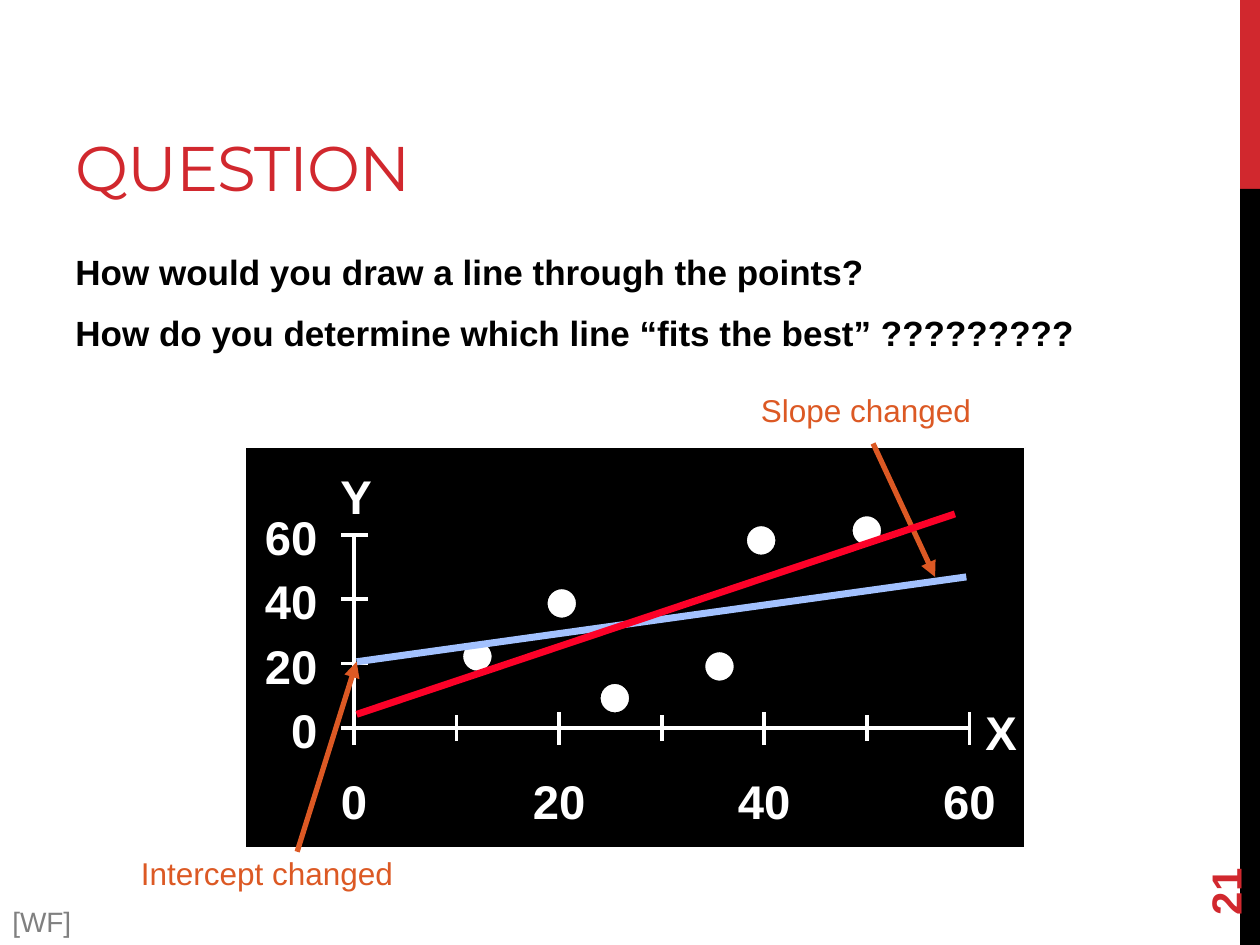
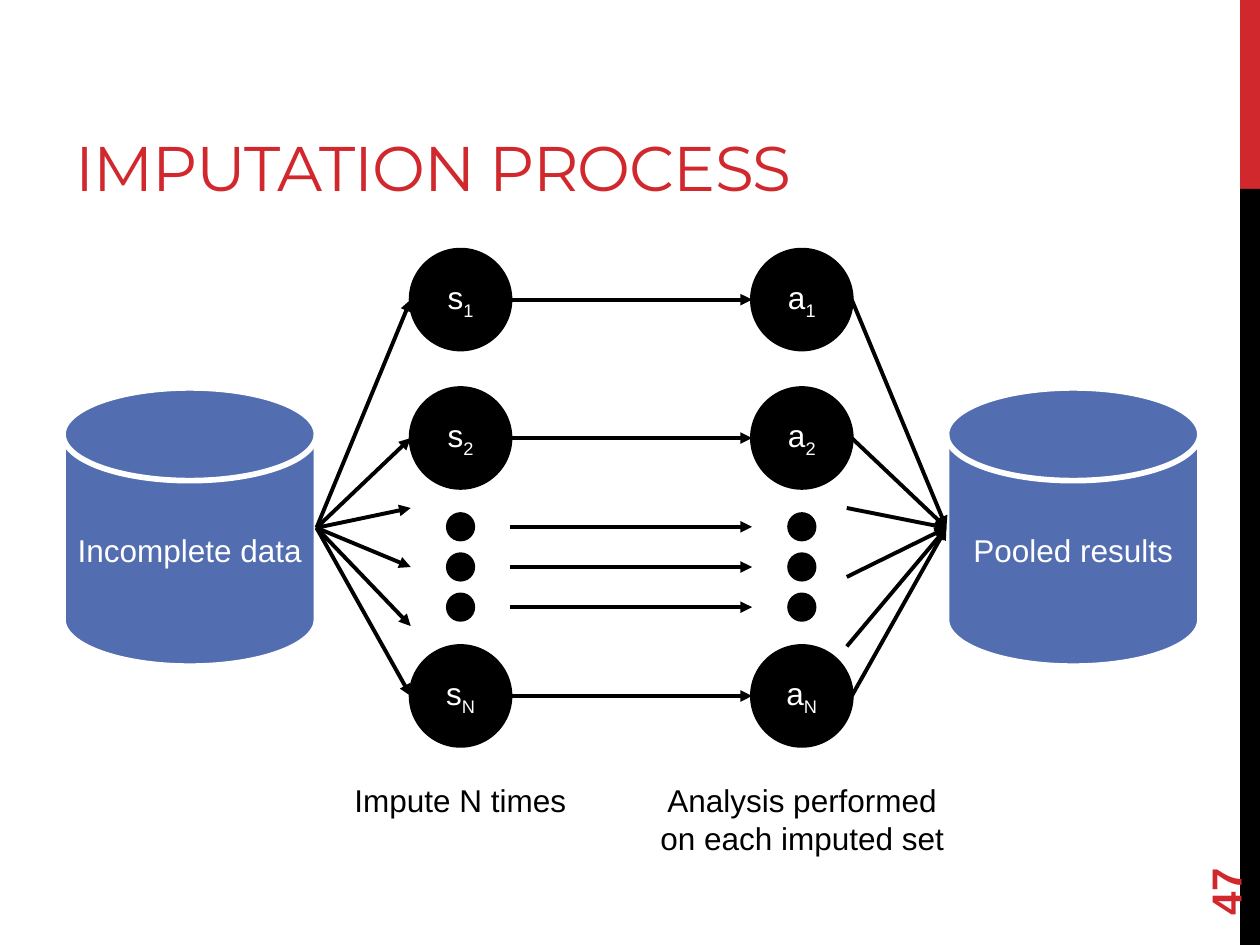
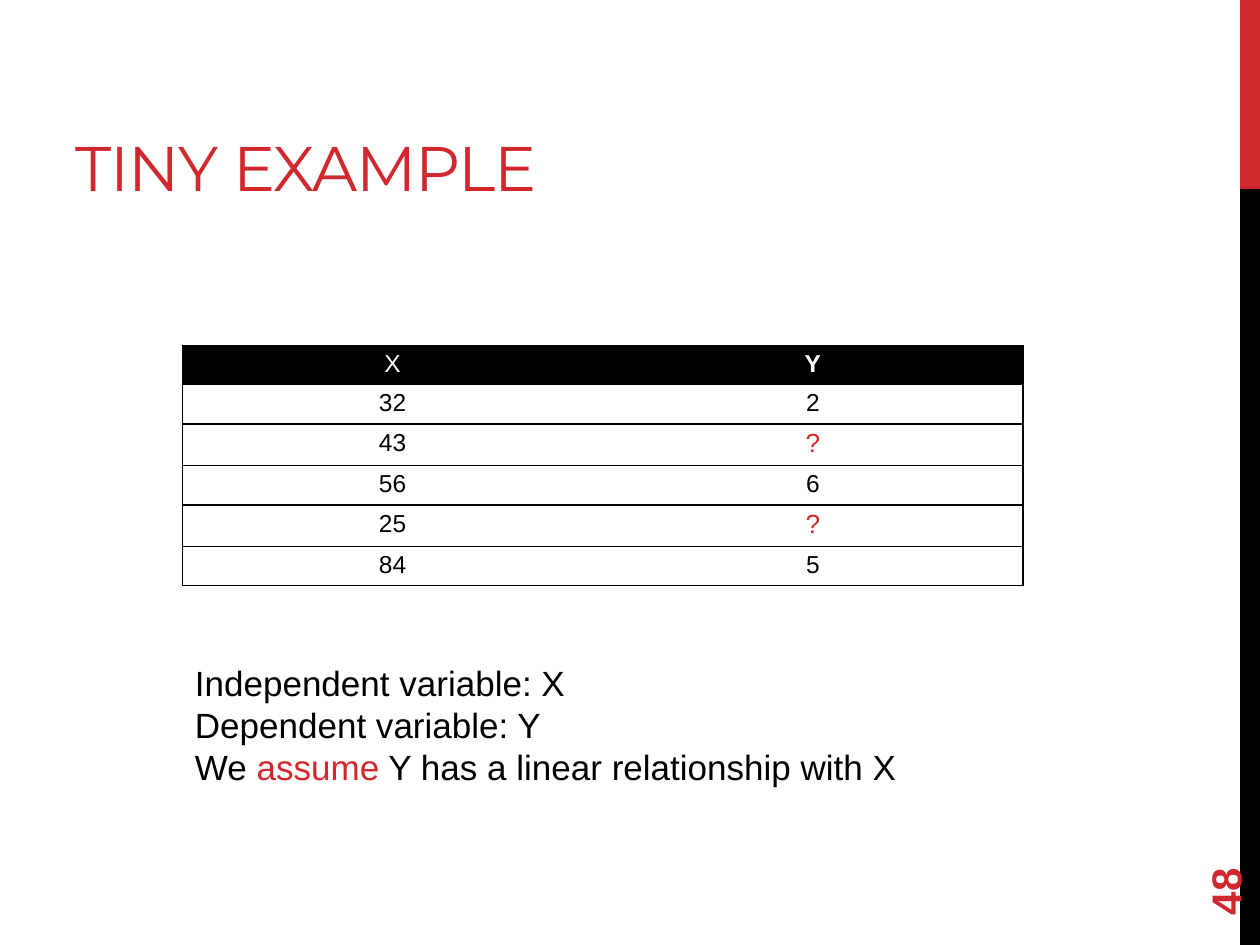
"""Build three lecture slides on line fitting and data imputation."""
from lxml import etree
from pptx import Presentation
from pptx.dml.color import RGBColor
from pptx.enum.shapes import MSO_CONNECTOR, MSO_SHAPE
from pptx.enum.text import MSO_ANCHOR, MSO_AUTO_SIZE, PP_ALIGN
from pptx.oxml.ns import qn
from pptx.util import Cm, Pt

STRAIGHT = MSO_CONNECTOR.STRAIGHT
RECTANGLE, OVAL = MSO_SHAPE.RECTANGLE, MSO_SHAPE.OVAL
DISK = MSO_SHAPE.FLOWCHART_MAGNETIC_DISK
LEFT, CENTER, RIGHT = PP_ALIGN.LEFT, PP_ALIGN.CENTER, PP_ALIGN.RIGHT
MIDDLE, BOTTOM = MSO_ANCHOR.MIDDLE, MSO_ANCHOR.BOTTOM
RED, BLACK, WHITE = "D1282E", "000000", "FFFFFF"
ORANGE, PALE_BLUE, BRIGHT_RED = "DC5924", "A2C1FE", "FC0128"
GREY, DISK_BLUE = "808080", "526DB0"


def write(para, text, size=18, colour=BLACK, bold=False, font="Arial", align=LEFT, **marks):
    """Add a formatted run; marks are extra run attributes such as baseline."""
    para.alignment = align
    span = para.add_run()
    span.text = text
    span.font.size = Pt(size)
    span.font.bold = bold
    span.font.name = font
    span.font.color.rgb = RGBColor.from_string(colour)
    for name, value in marks.items():
        span._r.get_or_add_rPr().set(name, value)


def paint(item, fill=None, line=None, width=1, arrow=False):
    """Set fill, line, arrowhead and no shadow on a shape or connector."""
    if fill:
        item.fill.solid()
        item.fill.fore_color.rgb = RGBColor.from_string(fill)
    if line:
        item.line.color.rgb = RGBColor.from_string(line)
        item.line.width = Pt(width)
    else:
        item.line.fill.background()
    if arrow:
        etree.SubElement(item.line._get_or_add_ln(), qn("a:tailEnd"), type="triangle")
    etree.SubElement(item.element.spPr, qn("a:effectLst"))


deck = Presentation()
deck.slide_width, deck.slide_height = Cm(25.4), Cm(19.05)

pages = []
for heading, number, title_width in [
    ("QUESTION", "21", 16.08),
    ("IMPUTATION PROCESS", "47", 20.75),
    ("TINY EXAMPLE", "48", 16.08),
]:
    page = deck.slides.add_slide(deck.slide_layouts[5])
    pages.append(page)
    for colour, top, height in [(RED, 0, 3.81), (BLACK, 3.81, 15.24)]:
        band = page.shapes.add_shape(RECTANGLE, Cm(25), Cm(top), Cm(0.4), Cm(height))
        paint(band, fill=colour)
    title = page.shapes.title
    title.left, title.top = Cm(1.27), Cm(0.43)
    title.width, title.height = Cm(title_width), Cm(3.81)
    title.text_frame.auto_size = MSO_AUTO_SIZE.NONE
    title.text_frame.vertical_anchor = BOTTOM
    write(title.text_frame.paragraphs[0], heading, size=36, colour=RED, font="Montserrat", spc="-60")
    box = page.shapes.add_textbox(Cm(22.86), Cm(16.36), Cm(3.66), Cm(1.02))
    box.rotation = 270
    box.text_frame.word_wrap = True
    box.text_frame.vertical_anchor = MIDDLE
    write(box.text_frame.paragraphs[0], number, size=24, colour=RED, bold=True)

question, process, example = pages

box = question.shapes.add_textbox(Cm(1.27), Cm(4.93), Cm(21.16), Cm(3))
frame = box.text_frame
frame.word_wrap = True
write(frame.paragraphs[0], "How would you draw a line through the points?", size=20, bold=True)
frame.paragraphs[0].space_after = Pt(6)
para = frame.add_paragraph()
para.space_before, para.space_after = Pt(5), Pt(6)
write(para, "How do you determine which line “fits the best” ?????????", size=20, bold=True)

plate = question.shapes.add_shape(RECTANGLE, Cm(4.95), Cm(9.02), Cm(15.72), Cm(8.08))
paint(plate, fill=BLACK, line=WHITE)

origin_x, origin_y, axis_width, axis_height = 7.14, 14.68, 12.4, 3.9
axis_lines = [
    (origin_x, origin_y - axis_height, origin_x, origin_y),
    (origin_x, origin_y, origin_x + axis_width, origin_y),
]
labels = [
    ("X", 19.33, 14.05, 1.7, CENTER, 27, WHITE, True),
    ("Y", 6.33, 9.3, 1.7, CENTER, 27, WHITE, True),
    ("Slope changed", 15.09, 7.75, 5, LEFT, 18, ORANGE, False),
    ("Intercept changed", 2.59, 17.09, 6, LEFT, 18, ORANGE, False),
    ("[WF]", 0, 18.11, 1.9, LEFT, 16, GREY, False),
]
for step in range(4):
    value = str(20 * step)
    tick_x = origin_x + axis_width * step / 3
    tick_y = origin_y - axis_height * step / 3
    axis_lines.append((6.88, tick_y, 7.42, tick_y))
    labels.append((value, 4.95, tick_y - 0.66, 1.7, RIGHT, 27, WHITE, True))
    labels.append((value, tick_x - 0.85, 15.44, 1.7, CENTER, 27, WHITE, True))
for step in range(7):
    tick_x = origin_x + axis_width * step / 6
    half = 0.26 if step % 2 else 0.33
    axis_lines.append((tick_x, origin_y + half, tick_x, origin_y - half))
for ends in axis_lines:
    axis = question.shapes.add_connector(STRAIGHT, *map(Cm, ends))
    paint(axis, line=WHITE, width=2)

for left, top in [(12.09, 13.77), (17.17, 10.39), (11.02, 11.86),
                  (15.04, 10.59), (14.2, 13.13), (9.32, 12.93)]:
    point = question.shapes.add_shape(OVAL, Cm(left), Cm(top), Cm(0.61), Cm(0.61))
    paint(point, fill=WHITE, line=BLACK)

for ends, colour, width, arrow in [
    ((7.19, 13.34, 19.48, 11.63), PALE_BLUE, 4, False),
    ((17.6, 8.94, 18.85, 11.63), ORANGE, 3, True),
    ((5.99, 17.17, 7.19, 13.34), ORANGE, 3, True),
    ((7.19, 14.4, 19.25, 10.36), BRIGHT_RED, 4, False),
]:
    trend = question.shapes.add_connector(STRAIGHT, *map(Cm, ends))
    paint(trend, line=colour, width=width, arrow=arrow)

for text, left, top, width, align, size, colour, bold in labels:
    box = question.shapes.add_textbox(Cm(left), Cm(top), Cm(width), Cm(size * 0.05))
    box.text_frame.word_wrap = True
    write(box.text_frame.paragraphs[0], text, size=size, colour=colour, bold=bold, align=align)

for text, left in [("Incomplete data", 1.27), ("Pooled results", 19.08)]:
    disk = process.shapes.add_shape(DISK, Cm(left), Cm(7.82), Cm(5.11), Cm(5.61))
    paint(disk, fill=DISK_BLUE, line=WHITE, width=3.25)
    disk.text_frame.word_wrap = False
    disk.text_frame.vertical_anchor = MIDDLE
    write(disk.text_frame.paragraphs[0], text, colour=WHITE, align=CENTER)

source_x, target_x, hub_y = 6.38, 19.08, 10.64
set_x, analysis_x, diameter, dot_size = 8.28, 15.16, 2.01, 0.51
circle_rows = {"1": 6.04, "2": 8.83, "N": 14.03}
dot_rows = [10.62 + 0.81 * step for step in range(3)]
for letter, left in [("s", set_x), ("a", analysis_x)]:
    for index, middle in circle_rows.items():
        circle = process.shapes.add_shape(
            OVAL, Cm(left), Cm(middle - diameter / 2), Cm(diameter), Cm(diameter))
        paint(circle, fill=BLACK, line=BLACK, width=2.25)
        circle.text_frame.vertical_anchor = MIDDLE
        para = circle.text_frame.paragraphs[0]
        write(para, letter, colour=WHITE, align=CENTER)
        write(para, index, colour=WHITE, align=CENTER, baseline="-25000")
    for middle in dot_rows:
        dot = process.shapes.add_shape(
            OVAL, Cm(left + (diameter - dot_size) / 2), Cm(middle - dot_size / 2),
            Cm(dot_size), Cm(dot_size))
        paint(dot, fill=BLACK, line=BLACK, width=2.25)

rows = list(circle_rows.values())
set_right, analysis_right = set_x + diameter, analysis_x + diameter
arrows = [(set_right, y, analysis_x, y) for y in rows + dot_rows]
arrows += [(source_x, hub_y, set_x, y) for y in rows + [10.24, 11.43, 12.62]]
arrows += [(analysis_right, y, target_x, hub_y) for y in rows]
arrows += [(analysis_right - 0.1, y, target_x, hub_y) for y in (10.24, 11.63, 13.03)]
for ends in arrows:
    flow = process.shapes.add_connector(STRAIGHT, *map(Cm, ends))
    paint(flow, line=BLACK, width=2.25, arrow=True)

for text, left, height in [("Impute N times", 5.99, 1.02),
                           ("Analysis performed on each imputed set", 12.88, 1.8)]:
    box = process.shapes.add_textbox(Cm(left), Cm(15.62), Cm(6.58), Cm(height))
    box.text_frame.word_wrap = True
    write(box.text_frame.paragraphs[0], text, align=CENTER)

records = [("X", "Y"), ("32", "2"), ("43", "?"), ("56", "6"), ("25", "?"), ("84", "5")]
table = example.shapes.add_table(
    len(records), 2, Cm(3.68), Cm(6.96), Cm(16.94), Cm(4.72)).table
table.horz_banding = False
for row, record in enumerate(records):
    table.rows[row].height = Cm(0.82 if "?" in record else 0.77)
    for column, value in enumerate(record):
        cell = table.cell(row, column)
        cell.margin_left = cell.margin_right = Cm(0.18)
        cell.margin_top = cell.margin_bottom = Cm(0.1)
        inner_side = "R" if column == 0 else "L"
        for side in "LRTB":
            border = etree.SubElement(cell._tc.get_or_add_tcPr(), qn("a:ln" + side), w="12700")
            if side == inner_side:
                etree.SubElement(border, qn("a:noFill"))
            else:
                solid = etree.SubElement(border, qn("a:solidFill"))
                etree.SubElement(solid, qn("a:srgbClr"), val=BLACK)
        cell.fill.solid()
        cell.fill.fore_color.rgb = RGBColor.from_string(WHITE if row else BLACK)
        missing = value == "?"
        colour = RED if missing else BLACK if row else WHITE
        write(cell.text_frame.paragraphs[0], value, size=15 if missing else 14,
              colour=colour, bold=value == "Y", align=CENTER)

box = example.shapes.add_textbox(Cm(3.68), Cm(13.21), Cm(16.99), Cm(2.82))
frame = box.text_frame
frame.word_wrap = True
write(frame.paragraphs[0], "Independent variable: X", size=20)
write(frame.add_paragraph(), "Dependent variable: Y", size=20)
para = frame.add_paragraph()
for text, colour in [("We ", BLACK), ("assume", RED),
                     (" Y has a linear relationship with X", BLACK)]:
    write(para, text, size=20, colour=colour)

deck.save("out.pptx")
